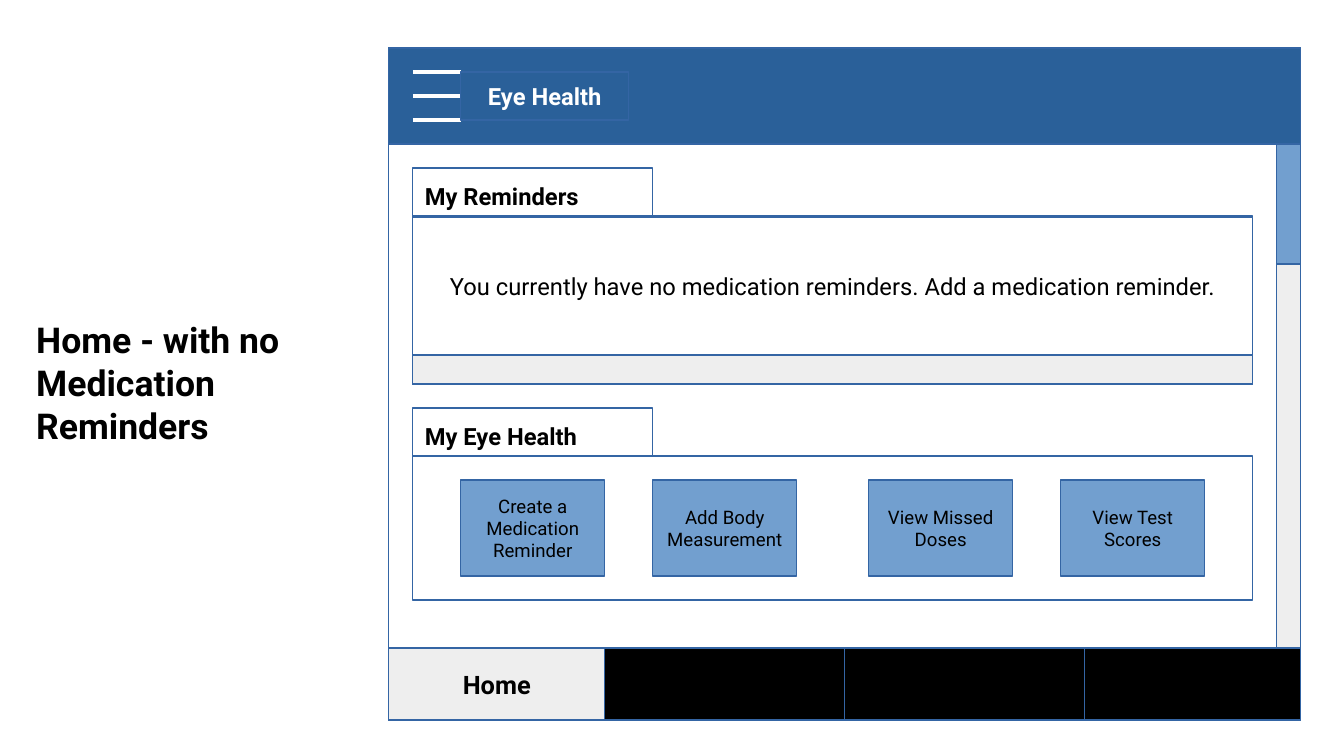
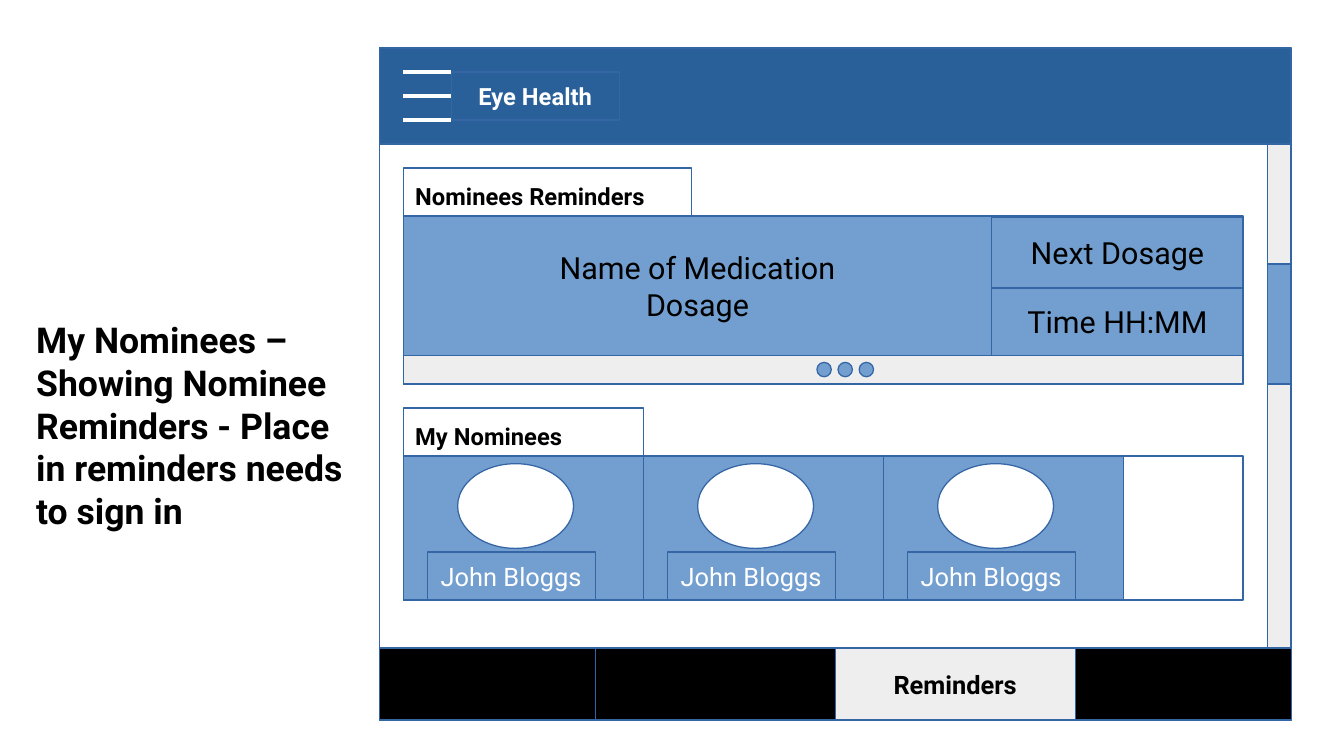
from lxml import etree
from pptx import Presentation
from pptx import util as u
from pptx.dml.color import RGBColor
from pptx.enum import shapes, text
from pptx.oxml.ns import qn

GRID = 14.17  # points in one grid step (5 mm)
FONT = "Roboto"
HEX = {"white": "FFFFFF", "black": "000000", "head": "2A6099",
       "blue": "729FCF", "grey": "EEEEEE", "edge": "3465A4"}
LEFT, MID = text.PP_ALIGN.LEFT, text.PP_ALIGN.CENTER
RECT, OVAL = shapes.MSO_SHAPE.RECTANGLE, shapes.MSO_SHAPE.OVAL


def pt(steps):
    return u.Pt(steps * GRID)


def hue(name):
    return RGBColor.from_string(HEX[name])


class Deck:
    """Style and current slide; positions are grid steps from the app frame."""

    def __init__(self):
        self.prs = Presentation()
        self.prs.slide_width, self.prs.slide_height = pt(56), pt(31.5)

    def put(self, frame, lines, size, ink="black", bold=False, align=MID):
        for i, line in enumerate(lines):
            para = frame.paragraphs[0] if i == 0 else frame.add_paragraph()
            para.alignment = align
            run = para.add_run()
            run.text = line
            run.font.name, run.font.size = FONT, u.Pt(size)
            run.font.bold = bold
            run.font.color.rgb = hue(ink)

    def start(self, title, high, left):
        """Add a slide with its side title; left is where the frame begins."""
        self.slide = self.prs.slides.add_slide(self.prs.slide_layouts[5])
        self.left = left
        head = self.slide.shapes.title
        head.left, head.top = pt(1), pt(13)
        head.width, head.height = pt(14), pt(high)
        frame = head.text_frame
        frame.word_wrap = True
        frame.auto_size = text.MSO_AUTO_SIZE.SHAPE_TO_FIT_TEXT
        frame.vertical_anchor = text.MSO_ANCHOR.TOP
        self.put(frame, [title], 21, bold=True, align=LEFT)

    def box(self, x, y, w, h, fill="white", kind=RECT):
        shape = self.slide.shapes.add_shape(
            kind, pt(self.left + x), pt(y), pt(w), pt(h))
        shape.shadow.inherit = False
        if fill:
            shape.fill.solid()
            shape.fill.fore_color.rgb = hue(fill)
        else:
            shape.fill.background()
        shape.line.color.rgb = hue("edge")
        shape.line.width = u.Pt(0)
        return shape

    def label(self, x, y, w, h, lines, size, fill="blue", **style):
        frame = self.box(x, y, w, h, fill).text_frame
        frame.word_wrap = True
        frame.vertical_anchor = text.MSO_ANCHOR.MIDDLE
        self.put(frame, lines, size, **style)
        return frame

    def bar(self, x, y, w):
        line = self.slide.shapes.add_connector(
            shapes.MSO_CONNECTOR.STRAIGHT, pt(self.left + x), pt(y),
            pt(self.left + x + w), pt(y))
        line.line.color.rgb = hue("white")
        line.line.width = u.Pt(2.83)
        etree.SubElement(line._element.spPr, qn("a:effectLst"))

    def tab(self, y, w, name):
        frame = self.label(1, y, w, 2, [name], 14, "white",
                           bold=True, align=LEFT)
        frame.vertical_anchor = text.MSO_ANCHOR.BOTTOM

    def shell(self, tabs, nav, thumb):
        """Draw the app frame: header, two tabbed cards, menu, scroll bar."""
        # Header with menu icon
        self.box(0, 2, 38, 28)
        self.box(0, 2, 38, 4, "head")
        for y in (3, 4, 5):
            self.bar(1, y, 2)
        self.label(3, 3, 7, 2, ["Eye Health"], 14, None,
                   ink="white", bold=True)
        # Cards and their tabs
        self.box(1, 9, 35, 7)
        self.box(1, 14.8, 35, 1.2, "grey")
        self.box(1, 19, 35, 6)
        for y, (name, wide) in zip((7, 17), tabs):
            self.tab(y, wide, name)
        # Bottom menu, with only the active entry named
        x = 0
        for i, wide in enumerate((9, 10, 10, 9)):
            if i == nav[0]:
                self.label(x, 27, wide, 3, [nav[1]], 15, "grey", bold=True)
            else:
                self.box(x, 27, wide, 3, "black")
            x += wide
        # Scroll bar
        self.box(37, 6, 1, 21, "grey")
        self.box(37, thumb, 1, 5, "blue")


def home(deck):
    deck.start("Home - with no Medication Reminders", 5.44, 16.2)
    deck.shell([("My Reminders", 10), ("My Eye Health", 10)], (0, "Home"), 6)
    deck.label(1, 9.05, 35, 5.75,
               ["You currently have no medication reminders. "
                "Add a medication reminder."], 14, "white")
    # Action buttons
    for x, name in ((3, "Create a Medication Reminder"),
                    (11, "Add Body Measurement"),
                    (20, "View Missed Doses"),
                    (28, "View Test Scores")):
        deck.label(x, 20, 6, 4, [name], 11)


def nominees(deck):
    deck.start("My Nominees – Showing Nominee Reminders - "
               "Place in reminders needs to sign in", 8.74, 15.8)
    deck.shell([("Nominees Reminders", 12), ("My Nominees", 10)],
               (2, "Reminders"), 11)
    # Reminder card and page dots
    deck.box(1, 9.05, 35, 5.75)
    deck.label(1, 9, 24.53, 5.8, ["Name of Medication", "Dosage"], 18)
    deck.label(25.53, 9.05, 10.47, 2.95, ["Next Dosage"], 18)
    deck.label(25.53, 12, 10.47, 2.8, ["Time HH:MM"], 18)
    for i in range(3):
        deck.box(18.24 + 0.88 * i, 15.1, 0.6, 0.6, "blue", OVAL)
    # Nominee cards
    for x in (1, 11, 21):
        deck.box(x, 19, 10, 6, "blue")
        deck.box(x + 2.27, 19.32, 4.83, 3.53, "white", OVAL)
        deck.label(x + 1, 23, 7, 2, ["John Bloggs"], 15, ink="white")


def main():
    deck = Deck()
    home(deck)
    nominees(deck)
    deck.prs.save("out.pptx")


if __name__ == "__main__":
    main()
